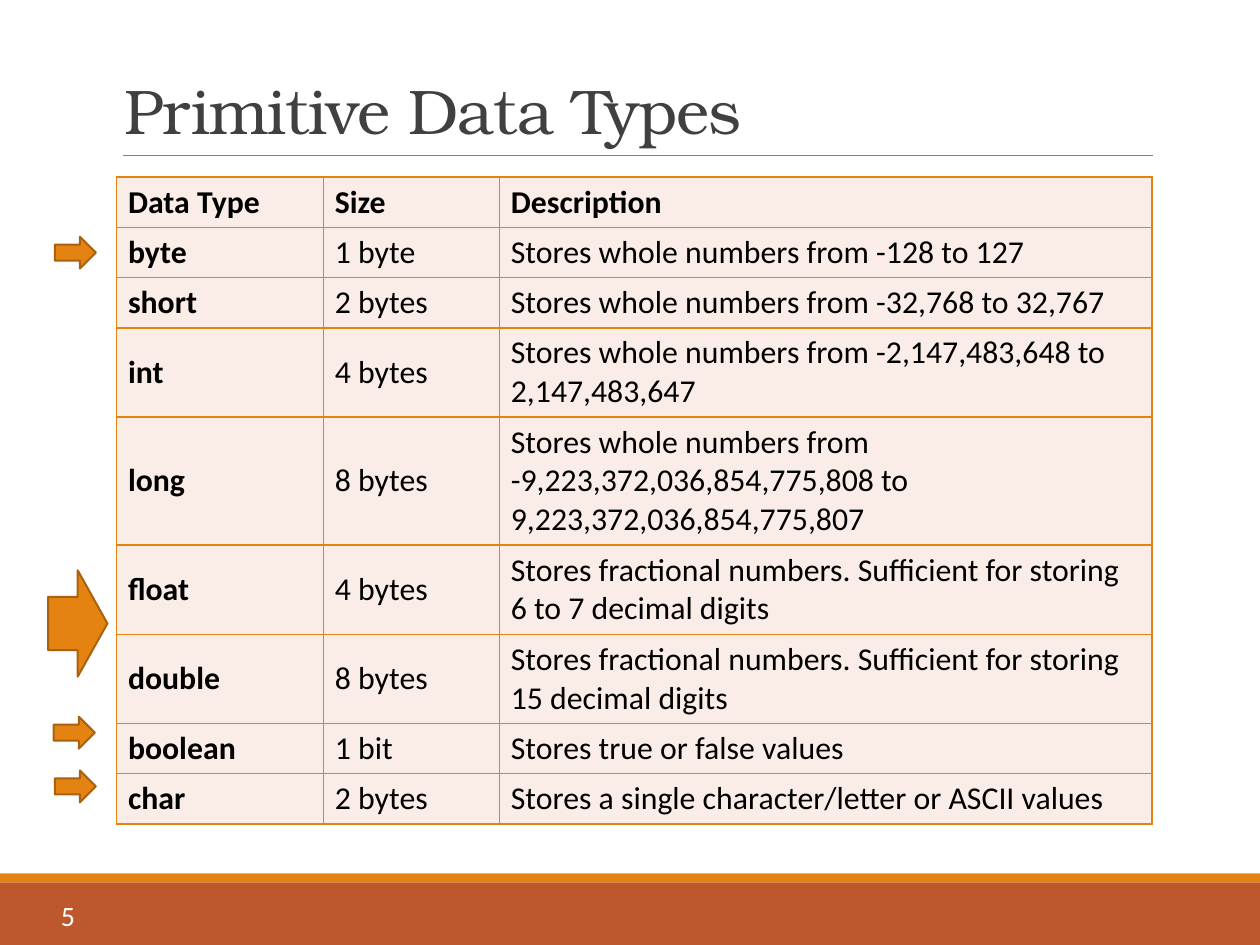
from lxml import etree
from pptx import Presentation
from pptx.dml.color import RGBColor
from pptx.enum import shapes, text
from pptx.oxml import ns
from pptx.util import Inches, Pt

COLORS = {"rust": "BD582C", "orange": "E48312", "brown": "A9610D", "cell": "FAEDE7",
          "rule": "808080", "title": "404040", "black": "000000", "white": "FFFFFF"}


def rgb(name):
    return RGBColor.from_string(COLORS[name])


def add_run(p, words, size, color, font="Calibri", bold=False):
    r = p.add_run()
    r.text = words
    r.font.size, r.font.name, r.font.bold = Pt(size), font, bold
    r.font.color.rgb = rgb(color)
    return r


# A slide of 28 by 21 cm
prs = Presentation()
prs.slide_width, prs.slide_height = Inches(28 / 2.54), Inches(21 / 2.54)
s = prs.slides.add_slide(prs.slide_layouts[5])

# Footer bands
for top, height, color in [(7.72, 0.55, "rust"), (7.64, 0.08, "orange")]:
    sp = s.shapes.add_shape(shapes.MSO_SHAPE.RECTANGLE, 0, Inches(top),
                            prs.slide_width, Inches(height))
    sp.shadow.inherit = False
    sp.fill.solid()
    sp.fill.fore_color.rgb = rgb(color)
    sp.line.fill.background()

# Rule under the title
rule = s.shapes.add_connector(shapes.MSO_CONNECTOR.STRAIGHT, Inches(1.08), Inches(1.36),
                              Inches(10.09), Inches(1.36))
rule.line.color.rgb = rgb("rule")
rule.line.width = Pt(1)
etree.SubElement(rule._element.spPr, ns.qn("a:effectLst"))

# Slide number
sp = s.shapes.add_textbox(0, Inches(7.79), Inches(1.19), Inches(0.44))
tf = sp.text_frame
tf.word_wrap = True
tf.vertical_anchor = text.MSO_ANCHOR.MIDDLE
p = tf.paragraphs[0]
p.alignment = text.PP_ALIGN.CENTER
add_run(p, "5", 17.6, "white")

# Title
title = s.shapes.title
title.left, title.top = Inches(0.99), Inches(0.35)
title.width, title.height = Inches(9.1), Inches(0.99)
tf = title.text_frame
tf.word_wrap = True
tf.auto_size = text.MSO_AUTO_SIZE.NONE
tf.vertical_anchor = text.MSO_ANCHOR.BOTTOM
p = tf.paragraphs[0]
p.alignment = text.PP_ALIGN.LEFT
p.line_spacing = 0.85
r = add_run(p, "Primitive Data Types", 39.7, "title", "TeX Gyre Bonum")
r.font._element.set("spc", "-60")

# Table of types: name, size, description, row height
rows = [
    ("Data Type", "Size", "Description", 0.44),
    ("byte", "1 byte", "Stores whole numbers from -128 to 127", 0.44),
    ("short", "2 bytes", "Stores whole numbers from -32,768 to 32,767", 0.44),
    ("int", "4 bytes", "Stores whole numbers from -2,147,483,648 to 2,147,483,647", 0.78),
    ("long", "8 bytes", "Stores whole numbers from -9,223,372,036,854,775,808 to "
     "9,223,372,036,854,775,807", 1.12),
    ("float", "4 bytes", "Stores fractional numbers. Sufficient for storing "
     "6 to 7 decimal digits", 0.78),
    ("double", "8 bytes", "Stores fractional numbers. Sufficient for storing "
     "15 decimal digits", 0.78),
    ("boolean", "1 bit", "Stores true or false values", 0.44),
    ("char", "2 bytes", "Stores a single character/letter or ASCII values", 0.44),
]
table = s.shapes.add_table(len(rows), 3, Inches(1.02), Inches(1.55),
                           Inches(9.07), Inches(5.66)).table
for column, width in zip(table.columns, [1.81, 1.54, 5.71]):
    column.width = Inches(width)
for i, (*words, height) in enumerate(rows):
    table.rows[i].height = Inches(height)
    for j, content in enumerate(words):
        cell = table.cell(i, j)
        cell.vertical_anchor = text.MSO_ANCHOR.MIDDLE
        add_run(cell.text_frame.paragraphs[0], content, 20, "black", bold=i == 0 or j == 0)
        # Borders come before the fill in the cell properties
        tcPr = cell._tc.get_or_add_tcPr()
        for side in ("lnL", "lnR", "lnT", "lnB"):
            ln = etree.SubElement(tcPr, ns.qn("a:" + side), w=str(Pt(1)))
            fill = etree.SubElement(ln, ns.qn("a:solidFill"))
            etree.SubElement(fill, ns.qn("a:srgbClr"), val=COLORS["orange"])
        cell.fill.solid()
        cell.fill.fore_color.rgb = rgb("cell")

# Arrows pointing at the types to remember
for left, top, width, height in [(0.48, 2.07, 0.36, 0.28), (0.42, 4.99, 0.52, 0.93),
                                 (0.47, 6.27, 0.36, 0.28), (0.48, 6.74, 0.36, 0.28)]:
    arrow = s.shapes.add_shape(shapes.MSO_SHAPE.RIGHT_ARROW, Inches(left), Inches(top),
                               Inches(width), Inches(height))
    arrow.shadow.inherit = False
    arrow.fill.solid()
    arrow.fill.fore_color.rgb = rgb("orange")
    arrow.line.color.rgb = rgb("brown")
    arrow.line.width = Pt(1.25)

prs.save("out.pptx")
